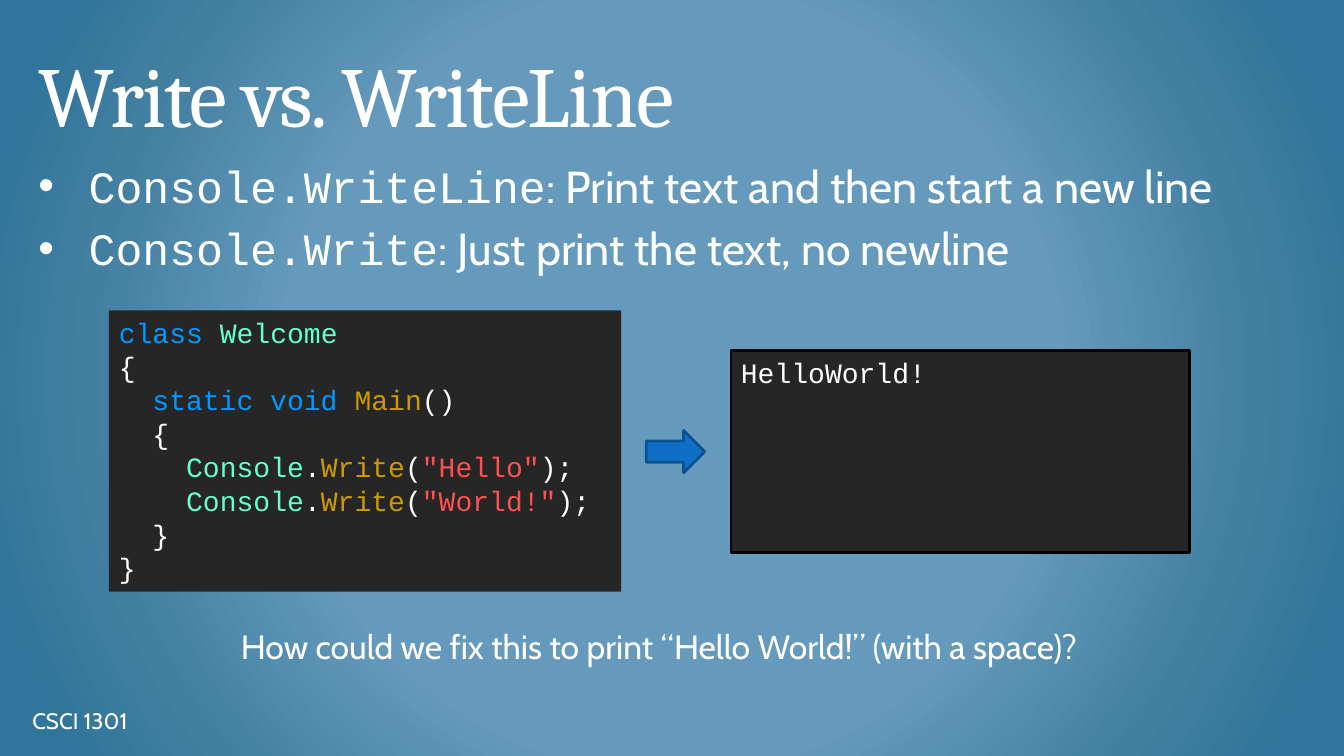
from pptx import Presentation
from pptx.dml.color import RGBColor
from pptx.enum.shapes import MSO_SHAPE
from pptx.enum.text import MSO_ANCHOR, PP_ALIGN
from pptx.oxml import parse_xml
from pptx.oxml.ns import nsdecls, qn
from pptx.util import Inches, Pt

TOP, MIDDLE, BOTTOM = MSO_ANCHOR.TOP, MSO_ANCHOR.MIDDLE, MSO_ANCHOR.BOTTOM
LEFT = PP_ALIGN.LEFT
RECTANGLE, RIGHT_ARROW = MSO_SHAPE.RECTANGLE, MSO_SHAPE.RIGHT_ARROW

# Fonts and colours
HEADING, BODY, CODE = "Cambria", "Cabin", "Courier New"
WHITE, CONSOLE = "FFFFFF", "262626"
KEYWORD, TYPE, METHOD, STRING = "0099FF", "66FFCC", "CC9900", "FF5050"
BACKDROP = [(50, "659ABC"), (76, "427FA1"), (92, "30759B")]

# Content: a paragraph is a list of (text, format) runs
TITLE = "Write vs. WriteLine"
METHODS = [
    ("Console.WriteLine", ": Print text and then start a new line"),
    ("Console.Write", ": Just print the text, no newline"),
]
QUESTION = "How could we fix this to print “Hello World!” (with a space)?"
COURSE = "CSCI 1301"
OUTPUT = "HelloWorld!"
WRITTEN = ['"Hello"', '"World!"']


def write_call(argument):
    return [("    ", WHITE), ("Console", TYPE), (".", WHITE), ("Write", METHOD),
            ("(", WHITE), (argument, STRING), (");", WHITE)]


PROGRAM = [
    [("class ", KEYWORD), ("Welcome", TYPE)],
    [("{", WHITE)],
    [("  ", WHITE), ("static void ", KEYWORD), ("Main", METHOD), ("()", WHITE)],
    [("  {", WHITE)],
    *[write_call(argument) for argument in WRITTEN],
    [("  }", WHITE)],
    [("}", WHITE)],
]


def color(hex_code):
    return RGBColor.from_string(hex_code)


def write(shape, paragraphs, size, font=BODY, anchor=TOP, insets=(0.1, 0.05, 0.1, 0.05),
          bullet=None, before=None, line_height=None, tracking=None):
    """Fill a shape with paragraphs of (text, colour[, font]) runs."""
    frame = shape.text_frame
    frame.word_wrap = True
    frame.vertical_anchor = anchor
    (frame.margin_left, frame.margin_top,
     frame.margin_right, frame.margin_bottom) = map(Inches, insets)
    for index, runs in enumerate(paragraphs):
        paragraph = frame.add_paragraph() if index else frame.paragraphs[0]
        paragraph.alignment = LEFT
        if before:
            paragraph.space_before = Pt(before)
        if line_height:
            paragraph.line_spacing = Pt(line_height)
        if bullet:
            properties = paragraph._p.get_or_add_pPr()
            properties.set("marL", str(Inches(0.5)))
            properties.set("indent", str(-Inches(0.5)))
            properties.append(parse_xml(f'<a:buFont {nsdecls("a")} typeface="Arial"/>'))
            properties.append(parse_xml(f'<a:buChar {nsdecls("a")} char="{bullet}"/>'))
        for text, hex_code, *own_font in runs:
            run = paragraph.add_run()
            run.text = text
            run.font.size = Pt(size)
            run.font.name = own_font[0] if own_font else font
            run.font.color.rgb = color(hex_code)
            if tracking:
                run._r.get_or_add_rPr().set("spc", str(round(tracking * 100)))


def main():
    deck = Presentation()
    deck.slide_width, deck.slide_height = Inches(13.33), Inches(7.5)
    slide = deck.slides.add_slide(deck.slide_layouts[6])

    def text_box(*box):
        return slide.shapes.add_textbox(*map(Inches, box))

    def block(kind, box, fill, line=None):
        shape = slide.shapes.add_shape(kind, *map(Inches, box))
        shape.shadow.inherit = False
        shape.fill.solid()
        shape.fill.fore_color.rgb = color(fill)
        if line:
            shape.line.color.rgb = color(line)
            shape.line.width = Pt(2)
        else:
            shape.line.fill.background()
        return shape

    # Radial background
    slide.background.fill.solid()
    background = slide.element.find(".//" + qn("p:bgPr"))
    stops = "".join(f'<a:gs pos="{place * 1000}"><a:srgbClr val="{hex_code}"/></a:gs>'
                    for place, hex_code in BACKDROP)
    background.replace(background[0], parse_xml(
        f'<a:gradFill {nsdecls("a")} rotWithShape="1"><a:gsLst>{stops}</a:gsLst>'
        '<a:path path="circle"><a:fillToRect l="50000" t="50000" r="50000" b="50000"/>'
        '</a:path></a:gradFill>'))

    # Title, bullets and footer
    wide_insets = (0.13, 0.07, 0.13, 0.07)
    write(text_box(0.25, 0.25, 12.83, 1.25), [[(TITLE, WHITE)]], 61, font=HEADING,
          anchor=BOTTOM, insets=wide_insets, line_height=77.3, tracking=-1.3)
    write(text_box(0.25, 1.5, 12.83, 1.5),
          [[(method, WHITE, CODE), (meaning, WHITE)] for method, meaning in METHODS],
          32, insets=wide_insets, bullet="•", before=6.4)
    write(text_box(0.25, 6.95, 4.15, 0.4), [[(COURSE, WHITE)]], 16,
          anchor=MIDDLE, insets=(0.07, 0.07, 0.13, 0.07))

    # Program, arrow and its output
    program = block(RECTANGLE, (1.08, 3.08, 5.08, 2.79), CONSOLE)
    write(program, PROGRAM, 20, font=CODE)
    output = block(RECTANGLE, (7.25, 3.48, 4.55, 2), CONSOLE, line="000000")
    write(output, [[(OUTPUT, WHITE)]], 20, font=CODE)
    block(RIGHT_ARROW, (6.41, 4.27, 0.58, 0.42), "0F6FC6", line="0B5292")

    # Closing question
    write(text_box(2.29, 6.16, 8.75, 0.5), [[(QUESTION, WHITE)]], 24)

    deck.save("out.pptx")


if __name__ == "__main__":
    main()
